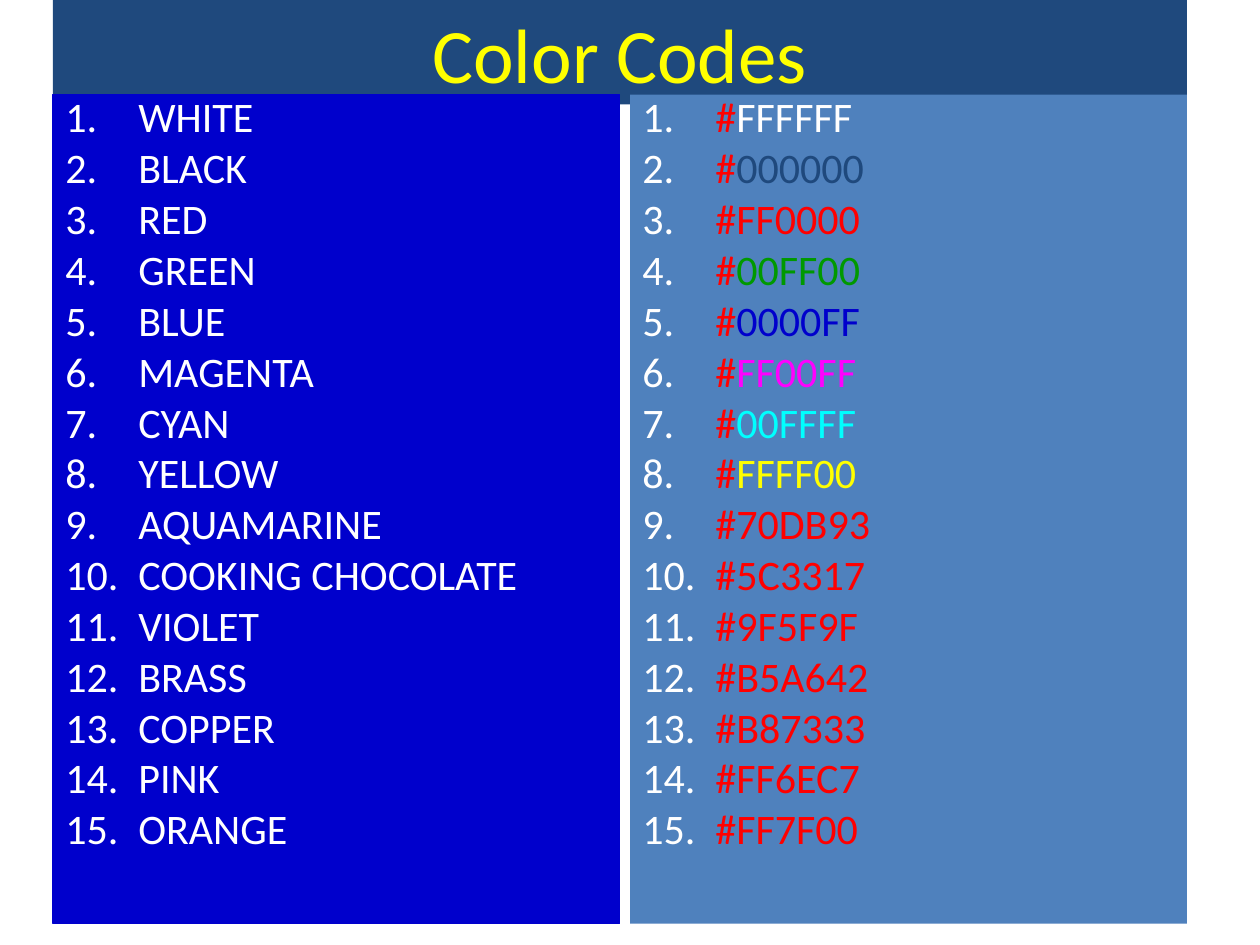
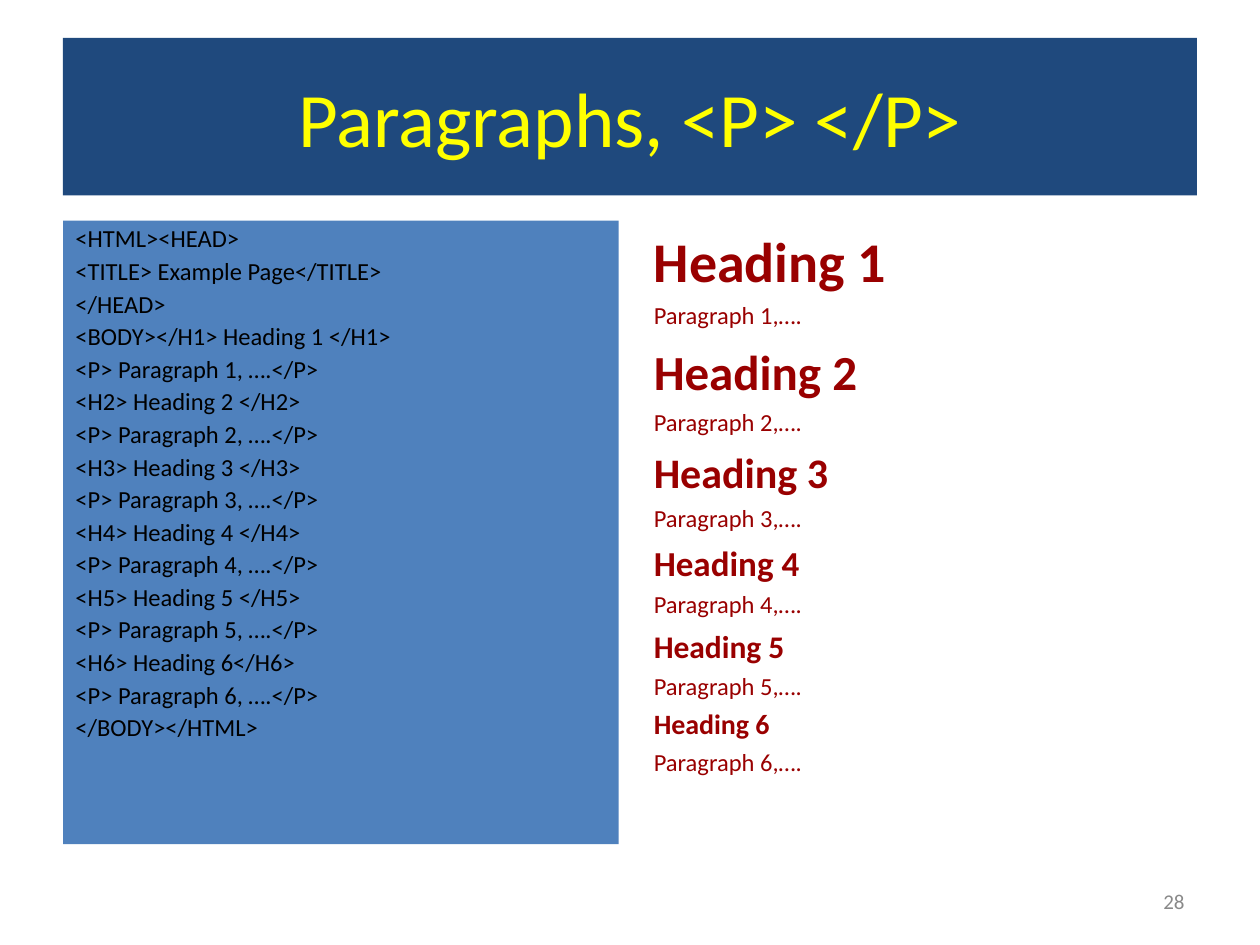
"""Build two slides on HTML color codes and paragraph tags."""
from dataclasses import dataclass
from typing import Optional

from lxml.etree import SubElement
from pptx import Presentation
from pptx.dml.color import RGBColor
from pptx.enum.shapes import MSO_SHAPE as Shape
from pptx.enum.text import MSO_ANCHOR as Anchor, PP_ALIGN as Align
from pptx.oxml.ns import qn
from pptx.slide import Slide
from pptx.text.text import TextFrame
from pptx.util import Inches, Pt

FONT = "Calibri"
COLORS = {
    "white": "FFFFFF", "navy": "1F497D", "steel": "4F81BD", "blue": "0000CC",
    "yellow": "FFFF00", "red": "FF0000", "green": "009900", "magenta": "FF00FF",
    "cyan": "00FFFF", "black": "000000", "maroon": "990000", "gray": "898989",
}


@dataclass(frozen=True)
class Panel:
    left: float
    top: float
    width: float
    height: float
    fill: Optional[str] = None
    line: Optional[str] = None
    anchor: Anchor = Anchor.TOP


@dataclass(frozen=True)
class ColorCode:
    name: str
    code: str
    color: str = "red"


CODES = [
    ColorCode("WHITE", "FFFFFF", "white"),
    ColorCode("BLACK", "000000", "navy"),
    ColorCode("RED", "FF0000"),
    ColorCode("GREEN", "00FF00", "green"),
    ColorCode("BLUE", "0000FF", "blue"),
    ColorCode("MAGENTA", "FF00FF", "magenta"),
    ColorCode("CYAN", "00FFFF", "cyan"),
    ColorCode("YELLOW", "FFFF00", "yellow"),
    ColorCode("AQUAMARINE", "70DB93"),
    ColorCode("COOKING CHOCOLATE", "5C3317"),
    ColorCode("VIOLET", "9F5F9F"),
    ColorCode("BRASS", "B5A642"),
    ColorCode("COPPER", "B87333"),
    ColorCode("PINK", "FF6EC7"),
    ColorCode("ORANGE", "FF7F00"),
]
HEADING_SIZES = [32, 28, 24, 20, 18, 16]
BODY_SIZE = 14
SOURCE_LINES = [
    "<HTML><HEAD>",
    "<TITLE> Example Page</TITLE>",
    "</HEAD>",
    "<BODY></H1> Heading 1 </H1>",
    "<P> Paragraph 1, ….</P>",
    "<H2> Heading 2 </H2>",
    "<P> Paragraph 2, ….</P>",
    "<H3> Heading 3 </H3>",
    "<P> Paragraph 3, ….</P>",
    "<H4> Heading 4 </H4>",
    "<P> Paragraph 4, ….</P>",
    "<H5> Heading 5 </H5>",
    "<P> Paragraph 5, ….</P>",
    "<H6> Heading 6</H6>",
    "<P> Paragraph 6, ….</P>",
    "</BODY></HTML>",
]


def rgb(color: str) -> RGBColor:
    """Return the named color."""
    return RGBColor.from_string(COLORS[color])


def add_panel(s: Slide, panel: Panel) -> TextFrame:
    """Draw a panel and return its empty text frame."""
    box = [Inches(v) for v in (panel.left, panel.top, panel.width, panel.height)]
    if panel.fill:
        sp = s.shapes.add_shape(Shape.RECTANGLE, *box)
        sp.shadow.inherit = False
        sp.fill.solid()
        sp.fill.fore_color.rgb = rgb(panel.fill)
        if panel.line:
            sp.line.color.rgb = rgb(panel.line)
            sp.line.width = Pt(0.75)
        else:
            sp.line.fill.background()
    else:
        sp = s.shapes.add_textbox(*box)
    tf = sp.text_frame
    tf.word_wrap = True
    tf.vertical_anchor = panel.anchor
    return tf


def add_text(tf: TextFrame, *texts: str, size: float, colors: tuple[str, ...],
             bold: bool = False, align: Align = Align.LEFT, spacing: float = 1.0,
             before: float = 0, hang: float = 0, numbered: bool = False) -> None:
    """Add one paragraph whose texts take the given colors in turn."""
    p = tf.paragraphs[0] if not tf.paragraphs[0].runs else tf.add_paragraph()
    p.alignment, p.line_spacing, p.space_before = align, spacing, Pt(before)
    pPr = p._p.get_or_add_pPr()
    pPr.set("marL", str(Inches(hang)))
    pPr.set("indent", str(-Inches(hang)))
    if numbered:
        bullet_color = SubElement(pPr, qn("a:buClr"))
        SubElement(bullet_color, qn("a:srgbClr"), val=COLORS["white"])
        SubElement(pPr, qn("a:buFont"), typeface=FONT)
        SubElement(pPr, qn("a:buAutoNum"), type="arabicPeriod")
    for text, color in zip(texts, colors):
        r = p.add_run()
        r.text = text
        r.font.name, r.font.size, r.font.bold = FONT, Pt(size), bold
        r.font.color.rgb = rgb(color)


def add_title(s: Slide, text: str, left: float, top: float, height: float) -> None:
    """Draw the title band."""
    tf = add_panel(s, Panel(left, top, 9, height, "navy", anchor=Anchor.MIDDLE))
    add_text(tf, text, size=44, colors=("yellow",), align=Align.CENTER)


def add_body_line(tf: TextFrame, *texts: str, size: float, **fmt) -> None:
    """Add a hanging line spaced by a quarter of its size."""
    add_text(tf, *texts, size=size, before=size / 4, **fmt)


def build_color_codes(s: Slide) -> None:
    """List color names beside their codes."""
    add_title(s, "Color Codes", 0.42, 0, 0.83)
    names = add_panel(s, Panel(0.42, 0.75, 4.5, 6.58, "blue", "blue"))
    codes = add_panel(s, Panel(5, 0.75, 4.42, 6.58, "steel"))
    fmt = dict(size=24, spacing=0.8, hang=0.58, numbered=True)
    for item in CODES:
        add_body_line(names, item.name, colors=("white",), **fmt)
        add_body_line(codes, "#", item.code, colors=("red", item.color), **fmt)


def build_paragraphs(s: Slide) -> None:
    """Show HTML source beside its rendered headings."""
    page = add_panel(s, Panel(7.17, 6.95, 2.33, 0.4, anchor=Anchor.MIDDLE))
    add_text(page, "28", size=12, colors=("gray",), align=Align.RIGHT)
    add_title(s, "Paragraphs, <P> </P>", 0.5, 0.3, 1.25)
    source = add_panel(s, Panel(0.5, 1.75, 4.41, 4.95, "steel"))
    for line in SOURCE_LINES:
        add_body_line(source, line, size=BODY_SIZE, colors=("black",),
                      spacing=0.9, hang=0.38)
    result = add_panel(s, Panel(5.09, 1.75, 4.41, 4.95))
    fmt = dict(colors=("maroon",), hang=0.38)
    for level, size in enumerate(HEADING_SIZES, 1):
        add_body_line(result, f"Heading {level}", size=size, bold=True, **fmt)
        add_body_line(result, f"Paragraph {level},….", size=BODY_SIZE, **fmt)


def main() -> None:
    """Build and save the deck."""
    prs = Presentation()
    prs.slide_width, prs.slide_height = Inches(10), Inches(7.5)
    for build in (build_color_codes, build_paragraphs):
        build(prs.slides.add_slide(prs.slide_layouts[6]))
    prs.save("out.pptx")


if __name__ == "__main__":
    main()
